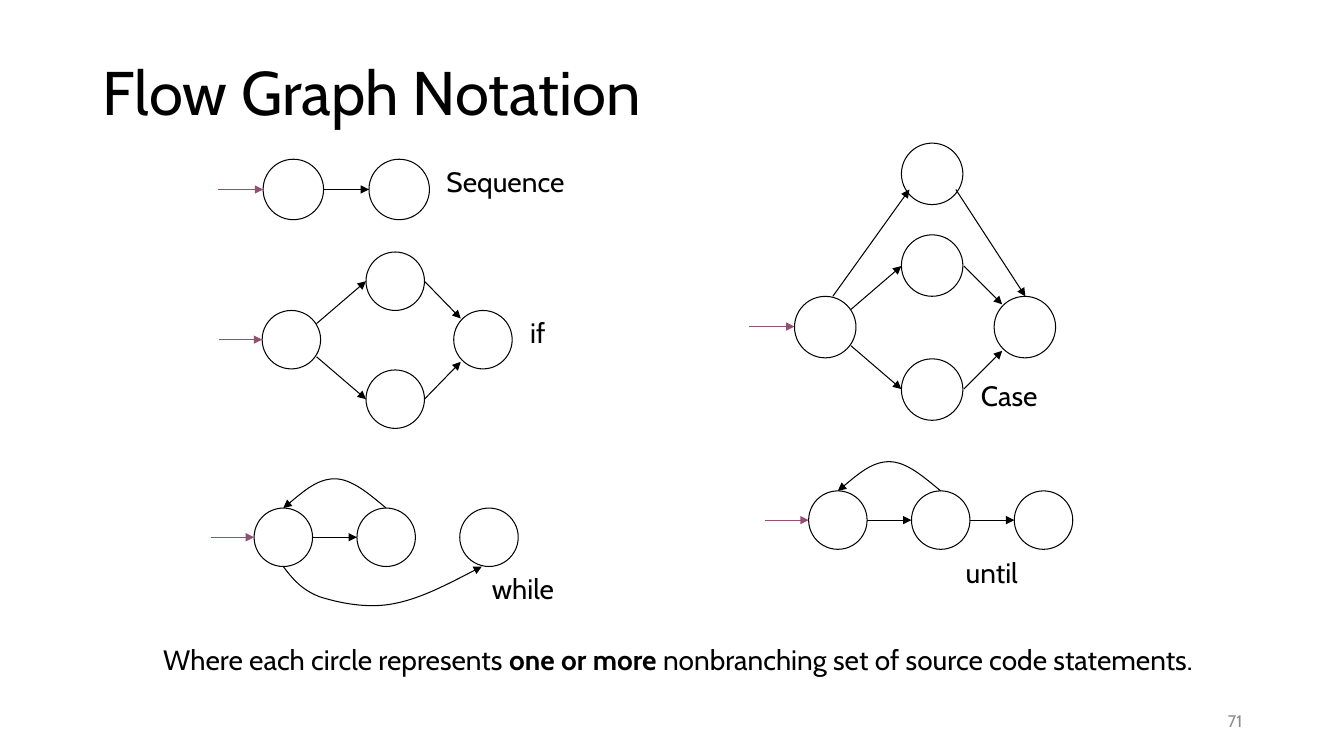
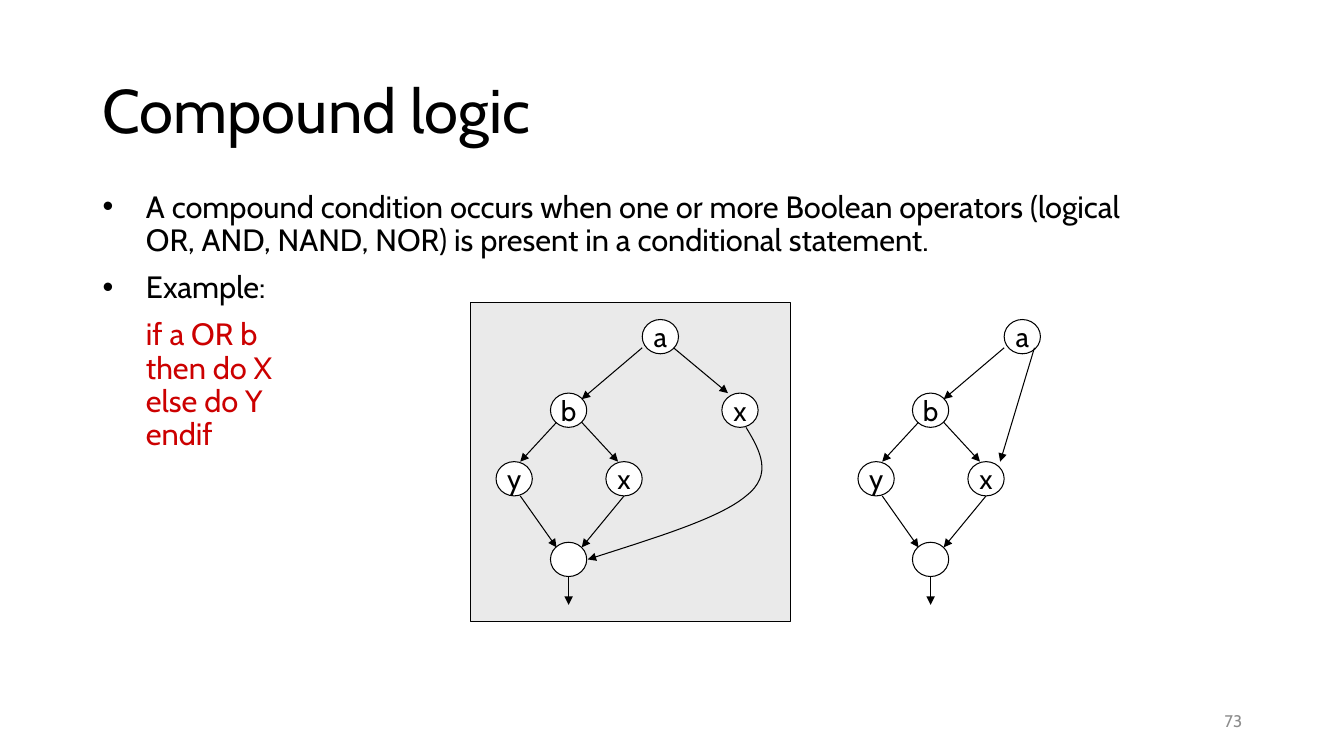
from dataclasses import dataclass

from lxml.etree import SubElement
from pptx import Presentation
from pptx.dml.color import RGBColor
from pptx.enum.shapes import MSO_CONNECTOR as Connector, MSO_SHAPE as Preset
from pptx.enum.text import MSO_ANCHOR as Anchor, PP_ALIGN as Align
from pptx.oxml.ns import qn
from pptx.util import Pt

PX = 9144  # EMU per px, 100 px to the inch
FONT = "Cabin"
COLORS = {"ink": "000000", "paper": "FFFFFF", "entry": "954F72",
          "panel": "EAEAEA", "code": "CC0000", "number": "8C8C8C"}

Point = tuple[int, int]


@dataclass(frozen=True)
class Node:
    left: int
    top: int
    width: int
    height: int
    text: str = ""


@dataclass(frozen=True)
class Arrow:
    start: Point
    end: Point
    color: str = "ink"


@dataclass(frozen=True)
class Label:
    left: int
    top: int
    text: str


@dataclass(frozen=True)
class Graph:
    nodes: tuple[Node, ...]
    arrows: tuple[Arrow, ...]
    curves: tuple[tuple[Point, ...], ...] = ()
    label: Label | None = None


# Shared drawing
def rgb(name: str) -> RGBColor:
    return RGBColor.from_string(COLORS[name])


def set_font(font, size: int, color: str = "ink") -> None:
    font.name, font.size = FONT, Pt(size)
    font.color.rgb = rgb(color)


def set_line(shape, color: str = "ink") -> None:
    shape.line.color.rgb = rgb(color)
    shape.line.width = Pt(0.75)


def add_head(shape) -> None:
    SubElement(shape.element.spPr.find(qn("a:ln")), qn("a:tailEnd"), type="triangle")


def add_box(shapes, left: int, top: int, width: int, height: int, anchor=Anchor.TOP):
    frame = shapes.add_textbox(left * PX, top * PX, width * PX, height * PX).text_frame
    frame.word_wrap = True
    frame.vertical_anchor = anchor
    return frame


def add_text(shapes, text: str, left: int, top: int, width: int, height: int,
             size: int = 20, color: str = "ink", anchor=Anchor.TOP):
    para = add_box(shapes, left, top, width, height, anchor).paragraphs[0]
    para.text = text
    set_font(para.font, size, color)
    return para


def add_shape(shapes, preset, left: int, top: int, width: int, height: int, fill: str = "paper"):
    shape = shapes.add_shape(preset, left * PX, top * PX, width * PX, height * PX)
    shape.shadow.inherit = False
    shape.fill.solid()
    shape.fill.fore_color.rgb = rgb(fill)
    set_line(shape)
    return shape


def add_node(shapes, node: Node) -> None:
    circle = add_shape(shapes, Preset.OVAL, node.left, node.top, node.width, node.height)
    if node.text:
        frame = circle.text_frame
        frame.word_wrap = False
        frame.vertical_anchor = Anchor.MIDDLE
        para = frame.paragraphs[0]
        para.text, para.alignment = node.text, Align.CENTER
        set_font(para.font, 20)


def add_arrow(shapes, arrow: Arrow) -> None:
    ends = [length * PX for length in arrow.start + arrow.end]
    line = shapes.add_connector(Connector.STRAIGHT, *ends)
    set_line(line, arrow.color)
    add_head(line)
    SubElement(line.element.spPr, qn("a:effectLst"))


def add_curve(shapes, points: tuple[Point, ...]) -> None:
    builder = shapes.build_freeform(*points[0], scale=PX)
    builder.add_line_segments(points[1:], close=False)
    curve = builder.convert_to_shape()
    # Each three points after the start make one cubic segment
    outline = next(curve.element.iter(qn("a:path")))
    steps = outline.findall(qn("a:lnTo"))
    for first in range(0, len(steps), 3):
        cubic = SubElement(outline, qn("a:cubicBezTo"))
        for step in steps[first:first + 3]:
            cubic.append(step[0])
            outline.remove(step)
    curve.shadow.inherit = False
    curve.fill.background()
    set_line(curve)
    add_head(curve)


def add_graph(page, graph: Graph) -> None:
    shapes = page.shapes.add_group_shape().shapes
    for node in graph.nodes:
        add_node(shapes, node)
    for arrow in graph.arrows:
        add_arrow(shapes, arrow)
    for points in graph.curves:
        add_curve(shapes, points)
    if graph.label:
        add_text(shapes, graph.label.text, graph.label.left, graph.label.top, 146, 44)


def add_page(deck, title: str, title_top: int, number: int):
    page = deck.slides.add_slide(deck.slide_layouts[6])
    heading = add_text(page.shapes, title, 92, title_top, 1150, 145, 44, anchor=Anchor.MIDDLE)
    heading.line_spacing = 0.9
    footer = add_text(page.shapes, str(number), 942, 695, 300, 40, 12, "number", Anchor.MIDDLE)
    footer.alignment = Align.RIGHT
    return page


# Flow graph notation
def circles(size: int, *corners: Point) -> tuple[Node, ...]:
    return tuple(Node(left, top, size, size) for left, top in corners)


def entry(node: Node) -> Arrow:
    middle = node.top + node.height // 2
    return Arrow((node.left - node.width * 3 // 4, middle), (node.left, middle), "entry")


def link(source: Node, target: Node) -> Arrow:
    middle = source.top + source.height // 2
    return Arrow((source.left + source.width, middle), (target.left, middle))


def loop_back(x: int, y: int) -> tuple[Point, ...]:
    offsets = ((0, 0), (17, 14), (34, 29), (51, 29), (68, 29), (85, 14), (102, 0))
    return tuple((x - across, y - up) for across, up in offsets)


def notation_graphs() -> list[Graph]:
    sequence = circles(60, (261, 158), (366, 158))
    choice = circles(58, (363, 250), (363, 367), (450, 308), (260, 308))
    case = circles(61, (894, 142), (894, 233), (894, 356), (986, 294), (788, 294))
    loop = circles(58, *((252 + 102 * i, 504) for i in range(3)))
    until = circles(58, *((802 + 102 * i, 487) for i in range(3)))
    exit_curve = ((281, 562), (290, 574), (299, 585), (317, 592), (336, 598),
                  (364, 604), (390, 599), (417, 594), (447, 578), (478, 562))
    return [
        Graph(sequence, (entry(sequence[0]), link(*sequence)),
              label=Label(433, 158, "Sequence")),
        Graph(choice, (entry(choice[-1]),
                       Arrow((314, 321), (363, 279)), Arrow((314, 354), (363, 396)),
                       Arrow((421, 279), (457, 316)), Arrow((421, 396), (457, 359))),
              label=Label(516, 308, "if")),
        Graph(case, (entry(case[-1]),
                     Arrow((826, 294), (902, 188)), Arrow((948, 188), (1017, 294)),
                     Arrow((844, 307), (894, 264)), Arrow((844, 343), (894, 386)),
                     Arrow((956, 264), (994, 302)), Arrow((956, 386), (994, 348))),
              label=Label(963, 371, "Case")),
        Graph(loop, (entry(loop[0]), link(loop[0], loop[1])),
              (loop_back(383, 504), exit_curve), Label(478, 562, "while")),
        Graph(until, (entry(until[0]), link(until[0], until[1]), link(until[1], until[2])),
              (loop_back(933, 487),), Label(948, 546, "until")),
    ]


def build_notation(deck) -> None:
    page = add_page(deck, "Flow Graph Notation", 22, 71)
    for graph in notation_graphs():
        add_graph(page, graph)
    para = add_box(page.shapes, 152, 633, 1056, 44).paragraphs[0]
    for text, bold in (("Where each circle represents ", False), ("one or more ", True),
                       ("nonbranching set of source code statements.", False)):
        span = para.add_run()
        span.text, span.font.bold = text, bold
    set_font(para.font, 20)


# Compound logic
def logic_graph(left: int, nodes: tuple[Node, ...] = (), arrows: tuple[Arrow, ...] = (),
                curves: tuple[tuple[Point, ...], ...] = ()) -> Graph:
    """Shared decision tree, plus the parts that lead from a to x."""
    places = ((145, 317, "a"), (54, 390, "b"), (109, 458, "x"), (0, 458, "y"), (54, 538, ""))
    lines = ((145, 345, 85, 396), (60, 419, 24, 458), (85, 419, 121, 458),
             (24, 492, 60, 543), (127, 492, 85, 543), (72, 572, 72, 600))
    tree = tuple(Node(left + x, y, 36, 34, text) for x, y, text in places)
    edges = tuple(Arrow((left + x1, y1), (left + x2, y2)) for x1, y1, x2, y2 in lines)
    return Graph(tree + nodes, edges + arrows, curves)


def build_logic(deck) -> None:
    page = add_page(deck, "Compound logic", 40, 73)
    add_shape(page.shapes, Preset.RECTANGLE, 467, 300, 317, 317, "panel")

    frame = add_box(page.shapes, 92, 185, 1054, 475)
    items = (
        ("A compound condition occurs when one or more Boolean operators "
         "(logical OR, AND, NAND, NOR) is present in a conditional statement.", True, "ink"),
        ("Example:", True, "ink"),
        ("if a OR b\vthen do X\velse do Y\vendif", False, "code"),
    )
    for index, (text, bulleted, color) in enumerate(items):
        para = frame.add_paragraph() if index else frame.paragraphs[0]
        para.text = text
        para.line_spacing = 0.9
        if index:
            para.space_before = Pt(10)
        layout = para._p.get_or_add_pPr()
        layout.set("marL", str(43 * PX))
        layout.set("indent", str(-43 * PX if bulleted else 0))
        if bulleted:
            SubElement(layout, qn("a:buFont"), typeface="Arial")
            SubElement(layout, qn("a:buChar"), char="•")
        set_font(para.font, 22, color)

    add_graph(page, logic_graph(
        492, (Node(716, 390, 36, 34, "x"),), (Arrow((668, 345), (722, 390)),),
        (((740, 424), (754, 447), (767, 471), (740, 492), (714, 514), (648, 534), (583, 555)),)))
    add_graph(page, logic_graph(851, arrows=(Arrow((1026, 345), (992, 458)),)))


def main() -> None:
    deck = Presentation()
    deck.slide_width, deck.slide_height = 1333 * PX, 750 * PX
    build_notation(deck)
    build_logic(deck)
    deck.save("out.pptx")


if __name__ == "__main__":
    main()
